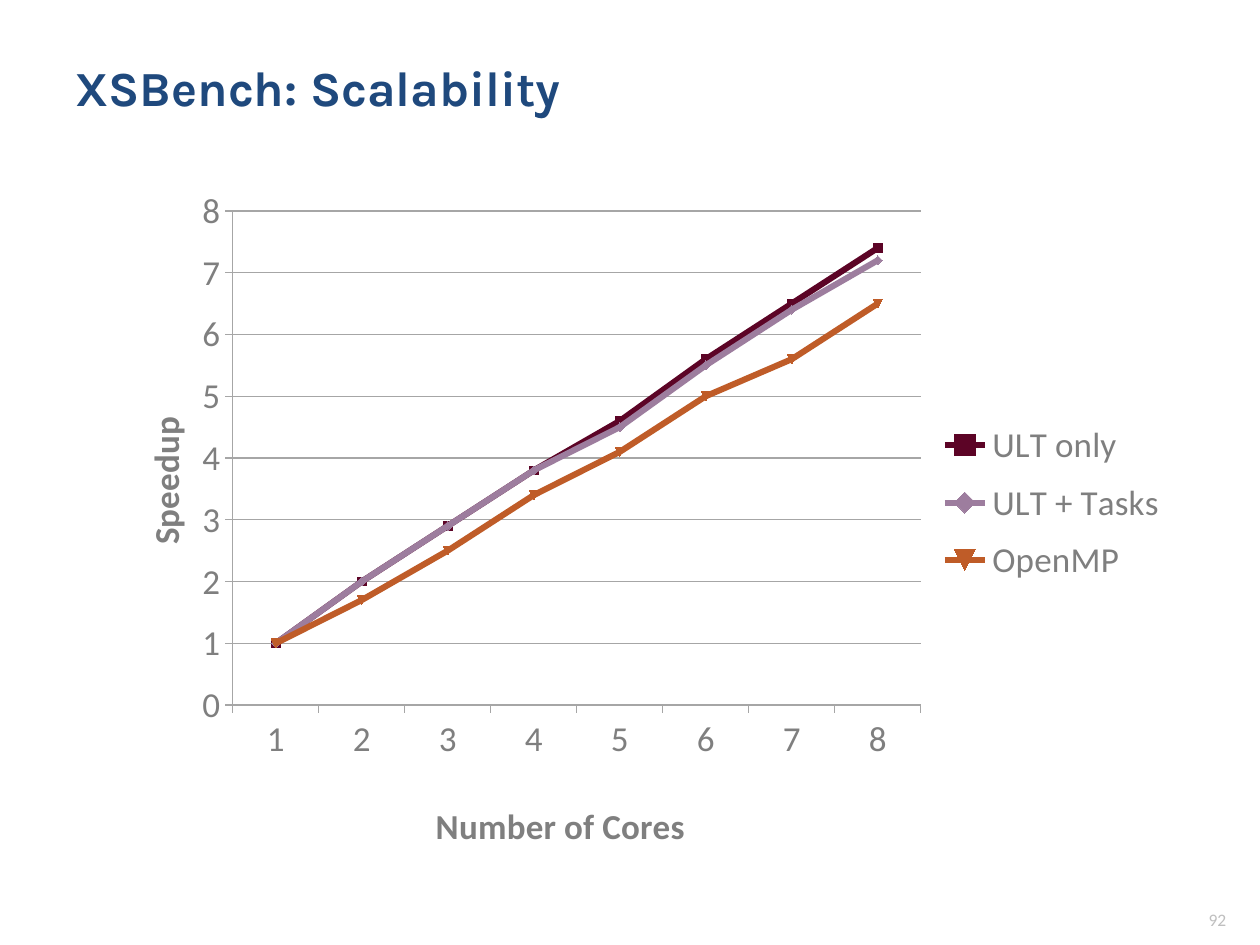
from lxml import etree
from pptx import Presentation
from pptx.chart.data import CategoryChartData
from pptx.dml.color import RGBColor
from pptx.enum.chart import XL_CHART_TYPE, XL_LEGEND_POSITION, XL_TICK_MARK
from pptx.enum.text import MSO_ANCHOR, PP_ALIGN
from pptx.oxml.ns import qn
from pptx.util import Cm, Pt

LINE_MARKERS = XL_CHART_TYPE.LINE_MARKERS
LEGEND_RIGHT = XL_LEGEND_POSITION.RIGHT
TICK_OUTSIDE = XL_TICK_MARK.OUTSIDE
MIDDLE = MSO_ANCHOR.MIDDLE
LEFT, RIGHT = PP_ALIGN.LEFT, PP_ALIGN.RIGHT

COLORS = {
    "title": "1F497D",
    "chart_text": "7F7F7F",
    "number": "BFBFBF",
    "grid": "A6A6A6",
    "ULT only": "5C0426",
    "ULT + Tasks": "9D7D9E",
    "OpenMP": "BF5C28",
}
SPEEDUPS = {
    "ULT only": (1, 2, 2.9, 3.8, 4.6, 5.6, 6.5, 7.4),
    "ULT + Tasks": (1, 2, 2.9, 3.8, 4.5, 5.5, 6.4, 7.2),
    "OpenMP": (1, 1.7, 2.5, 3.4, 4.1, 5, 5.6, 6.5),
}


def style_font(font, color, **values):
    for name, value in values.items():
        setattr(font, name, value)
    font.color.rgb = RGBColor.from_string(COLORS[color])


def place_part(element, index, **values):
    for old in element.findall(qn("c:layout")):
        element.remove(old)
    layout = etree.Element(qn("c:layout"))
    manual = etree.SubElement(layout, qn("c:manualLayout"))
    for name, value in values.items():
        etree.SubElement(manual, qn(f"c:{name}")).set("val", str(value))
    element.insert(index, layout)


deck = Presentation()
deck.slide_width, deck.slide_height = Cm(25.4), Cm(19.05)
page = deck.slides.add_slide(deck.slide_layouts[6])

TEXTS = [
    ("XSBench: Scalability", (1.27, 0.76, 22.86, 1.98), LEFT, "title",
     {"name": "Karla", "size": Pt(28), "bold": True}),
    ("92", (19.05, 18.03, 5.92, 1.02), RIGHT, "number",
     {"name": "Calibri", "size": Pt(10)}),
]
for words, place, alignment, color, font_values in TEXTS:
    box = page.shapes.add_textbox(*map(Cm, place))
    box.text_frame.word_wrap = True
    box.text_frame.vertical_anchor = MIDDLE
    para = box.text_frame.paragraphs[0]
    para.alignment = alignment
    span = para.add_run()
    span.text = words
    style_font(span.font, color, **font_values)

data = CategoryChartData(number_format="0.0")
data.categories = range(1, 9)
for name, values in SPEEDUPS.items():
    data.add_series(name, values)
chart = page.shapes.add_chart(
    LINE_MARKERS, Cm(1.83), Cm(3.56), Cm(22.02), Cm(13.84), data
).chart
chart.has_title = False
style_font(chart.font, "chart_text", name="Calibri", size=Pt(20))
chart.plots[0].vary_by_categories = False

for series in chart.plots[0].series:
    color = RGBColor.from_string(COLORS[series.name])
    series.smooth = False
    series.format.line.width = Pt(3.5)
    series.format.line.color.rgb = color
    series.marker.size = 5
    series.marker.format.fill.solid()
    series.marker.format.fill.fore_color.rgb = color
    series.marker.format.line.color.rgb = color

AXES = [
    (chart.category_axis, "Number of Cores", 0.31, 0.9),
    (chart.value_axis, "Speedup", 0.04, 0.34),
]
for axis, words, x, y in AXES:
    axis.major_tick_mark = TICK_OUTSIDE
    axis.tick_labels.number_format = "0"
    axis.tick_labels.number_format_is_linked = False
    span = axis.axis_title.text_frame.paragraphs[0].add_run()
    span.text = words
    style_font(span.font, "chart_text", name="Calibri", size=Pt(20), bold=True)
    place_part(axis.axis_title._element, 1, xMode="edge", yMode="edge", x=x, y=y)
    axis.format.line.color.rgb = RGBColor.from_string(COLORS["grid"])

speedup_axis = chart.value_axis
speedup_axis.minimum_scale, speedup_axis.maximum_scale = 0, 8
speedup_axis.major_unit = 1
speedup_axis.has_major_gridlines = True
speedup_axis.major_gridlines.format.line.color.rgb = RGBColor.from_string(COLORS["grid"])

chart.has_legend = True
chart.legend.position = LEGEND_RIGHT
chart.legend.include_in_layout = False
style_font(chart.legend.font, "chart_text", name="Calibri", size=Pt(20))
place_part(chart.legend._element, 1, xMode="edge", yMode="edge",
           x=0.78, y=0.34, w=0.2, h=0.27)
place_part(chart._chartSpace.chart.plotArea, 0, layoutTarget="inner",
           xMode="edge", yMode="edge", x=0.13, y=0.05, w=0.63, h=0.72)

deck.save("out.pptx")
